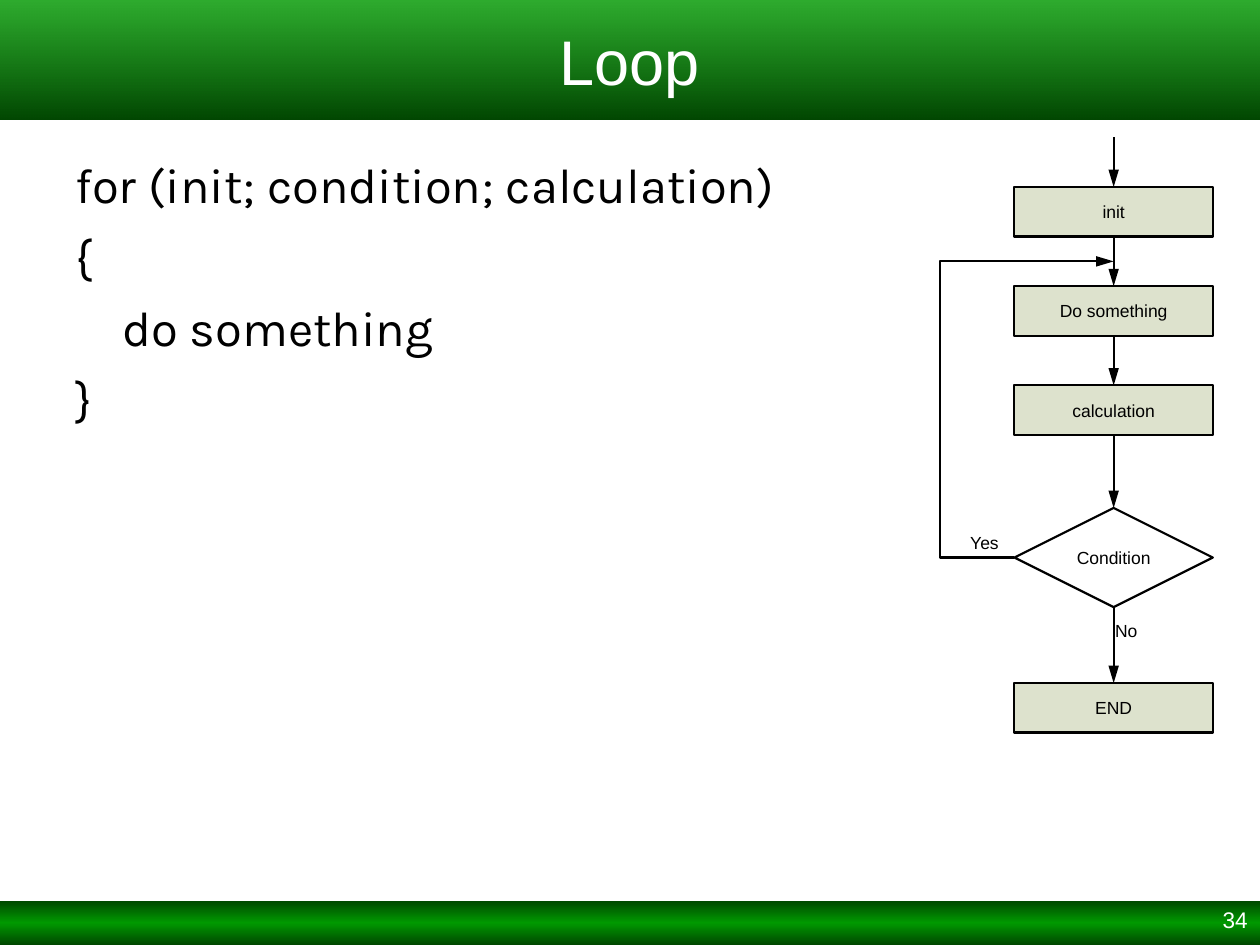
from dataclasses import dataclass

from lxml import etree
from pptx import Presentation
from pptx.dml.color import RGBColor
from pptx.enum.shapes import MSO_CONNECTOR, MSO_SHAPE
from pptx.enum.text import MSO_ANCHOR, PP_ALIGN
from pptx.oxml.ns import qn
from pptx.util import Cm, Pt

RECTANGLE = MSO_SHAPE.RECTANGLE
DIAMOND = MSO_SHAPE.DIAMOND
STRAIGHT = MSO_CONNECTOR.STRAIGHT
LEFT, CENTER, RIGHT = PP_ALIGN.LEFT, PP_ALIGN.CENTER, PP_ALIGN.RIGHT
TOP, MIDDLE = MSO_ANCHOR.TOP, MSO_ANCHOR.MIDDLE


@dataclass(frozen=True)
class Theme:
    sans: str = "Arial"
    code: str = "Karla"
    white: str = "FFFFFF"
    black: str = "000000"
    step_fill: str = "DDE2CD"
    # Gradient stops: position %, colour, opacity %
    title_band: tuple = ((0, "009900", 82), (100, "004700", 100))
    footer_band: tuple = ((0, "004700", 100), (50, "009900", 100), (100, "004700", 100))
    title_size: float = 36
    code_size: float = 28
    number_size: float = 12.9
    label_size: float = 10
    line_width: float = 1.25


class SlideBuilder:
    def __init__(self, slide, theme):
        self.shapes = slide.shapes
        self.theme = theme

    def add_text(self, paragraph, text, size, color, font, align=LEFT):
        paragraph.alignment = align
        run = paragraph.add_run()
        run.text = text
        run.font.size = Pt(size)
        run.font.name = font
        run.font.color.rgb = RGBColor.from_string(color)

    def stroke(self, line):
        line.color.rgb = RGBColor.from_string(self.theme.black)
        line.width = Pt(self.theme.line_width)

    def add_arrowhead(self, line):
        head = etree.SubElement(line._get_or_add_ln(), qn("a:tailEnd"))
        for key, value in (("type", "triangle"), ("w", "med"), ("len", "lg")):
            head.set(key, value)

    def band(self, top, height, stops):
        """Full-width bar with a vertical gradient."""
        bar = self.shapes.add_shape(RECTANGLE, 0, Cm(top), Cm(25.4), Cm(height))
        bar.shadow.inherit = False
        bar.line.fill.background()
        bar.fill.gradient()
        bar.fill.gradient_angle = 270
        stop_list = bar._element.spPr.find(qn("a:gradFill")).find(qn("a:gsLst"))
        for default_stop in list(stop_list):
            stop_list.remove(default_stop)
        for position, color, opacity in stops:
            stop = etree.SubElement(stop_list, qn("a:gs"), pos=str(position * 1000))
            tint = etree.SubElement(stop, qn("a:srgbClr"), val=color)
            if opacity < 100:
                etree.SubElement(tint, qn("a:alpha"), val=str(opacity * 1000))
        return bar

    def title(self, text, height):
        frame = self.band(0, height, self.theme.title_band).text_frame
        frame.vertical_anchor = MIDDLE
        self.add_text(frame.paragraphs[0], text, self.theme.title_size,
                      self.theme.white, self.theme.sans, CENTER)

    def text_box(self, left, top, width, height):
        frame = self.shapes.add_textbox(Cm(left), Cm(top), Cm(width), Cm(height)).text_frame
        frame.word_wrap = True
        frame.vertical_anchor = TOP
        return frame

    def page_number(self, text):
        paragraph = self.text_box(19.48, 18.21, 5.92, 0.84).paragraphs[0]
        paragraph.line_spacing = 0.9
        self.add_text(paragraph, text, self.theme.number_size,
                      self.theme.white, self.theme.sans, RIGHT)

    def code(self, lines, left, top, width, height):
        """Code lines, each given as (indent level, text)."""
        frame = self.text_box(left, top, width, height)
        for index, (level, text) in enumerate(lines):
            paragraph = frame.add_paragraph() if index else frame.paragraphs[0]
            if index:
                paragraph.space_before = Pt(7)
            paragraph._p.get_or_add_pPr().set("marL", str(Cm(0.95 * level)))
            self.add_text(paragraph, text, self.theme.code_size,
                          self.theme.black, self.theme.code)

    def node(self, kind, text, left, top, width, height, fill):
        shape = self.shapes.add_shape(kind, Cm(left), Cm(top), Cm(width), Cm(height))
        shape.shadow.inherit = False
        shape.fill.solid()
        shape.fill.fore_color.rgb = RGBColor.from_string(fill)
        self.stroke(shape.line)
        frame = shape.text_frame
        frame.word_wrap = False
        frame.vertical_anchor = MIDDLE
        self.add_text(frame.paragraphs[0], text, self.theme.label_size,
                      self.theme.black, self.theme.sans, CENTER)

    def branch_label(self, text, left, top):
        frame = self.text_box(left, top, 0.61, 0.43)
        frame.word_wrap = False
        frame.margin_left = frame.margin_right = frame.margin_top = frame.margin_bottom = 0
        self.add_text(frame.paragraphs[0], text, self.theme.label_size,
                      self.theme.black, self.theme.sans)

    def down_arrow(self, x, start, end):
        arrow = self.shapes.add_connector(STRAIGHT, Cm(x), Cm(start), Cm(x), Cm(end))
        self.stroke(arrow.line)
        self.add_arrowhead(arrow.line)
        etree.SubElement(arrow._element.spPr, qn("a:effectLst"))

    def bent_arrow(self, points):
        start, *corners = [(Cm(x), Cm(y)) for x, y in points]
        builder = self.shapes.build_freeform(*start)
        builder.add_line_segments(corners, close=False)
        route = builder.convert_to_shape()
        route.shadow.inherit = False
        route.fill.background()
        self.stroke(route.line)
        self.add_arrowhead(route.line)


def add_flowchart(builder):
    theme = builder.theme
    left, width, step_height, pitch = 20.45, 4, 1, 2
    first_top, condition_top, end_top = 3.77, 10.24, 13.77
    condition_height = 2
    axis = left + width / 2
    condition_middle = condition_top + condition_height / 2

    steps = [(text, first_top + index * pitch, step_height, RECTANGLE, theme.step_fill)
             for index, text in enumerate(("init", "Do something", "calculation"))]
    steps.append(("Condition", condition_top, condition_height, DIAMOND, theme.white))
    steps.append(("END", end_top, step_height, RECTANGLE, theme.step_fill))

    arrow_start = first_top - step_height
    for text, top, height, kind, fill in steps:
        builder.down_arrow(axis, arrow_start, top)
        builder.node(kind, text, left, top, width, height, fill)
        arrow_start = top + height

    loop_x, loop_y = left - 1.5, first_top + 1.5 * step_height
    builder.bent_arrow([(left, condition_middle), (loop_x, condition_middle),
                        (loop_x, loop_y), (axis, loop_y)])
    builder.branch_label("Yes", 19.56, 10.72)
    builder.branch_label("No", 22.48, 12.5)


def main():
    presentation = Presentation()
    presentation.slide_width, presentation.slide_height = Cm(25.4), Cm(19.05)
    slide = presentation.slides.add_slide(presentation.slide_layouts[6])
    builder = SlideBuilder(slide, Theme())

    builder.band(18.16, 0.89, builder.theme.footer_band)
    builder.page_number("34")
    builder.title("Loop", 2.42)
    builder.code([(0, "for (init; condition; calculation)"), (0, "{"),
                  (1, "do something"), (0, "}")], 1.27, 3, 23.19, 14.96)
    add_flowchart(builder)
    presentation.save("out.pptx")


if __name__ == "__main__":
    main()
